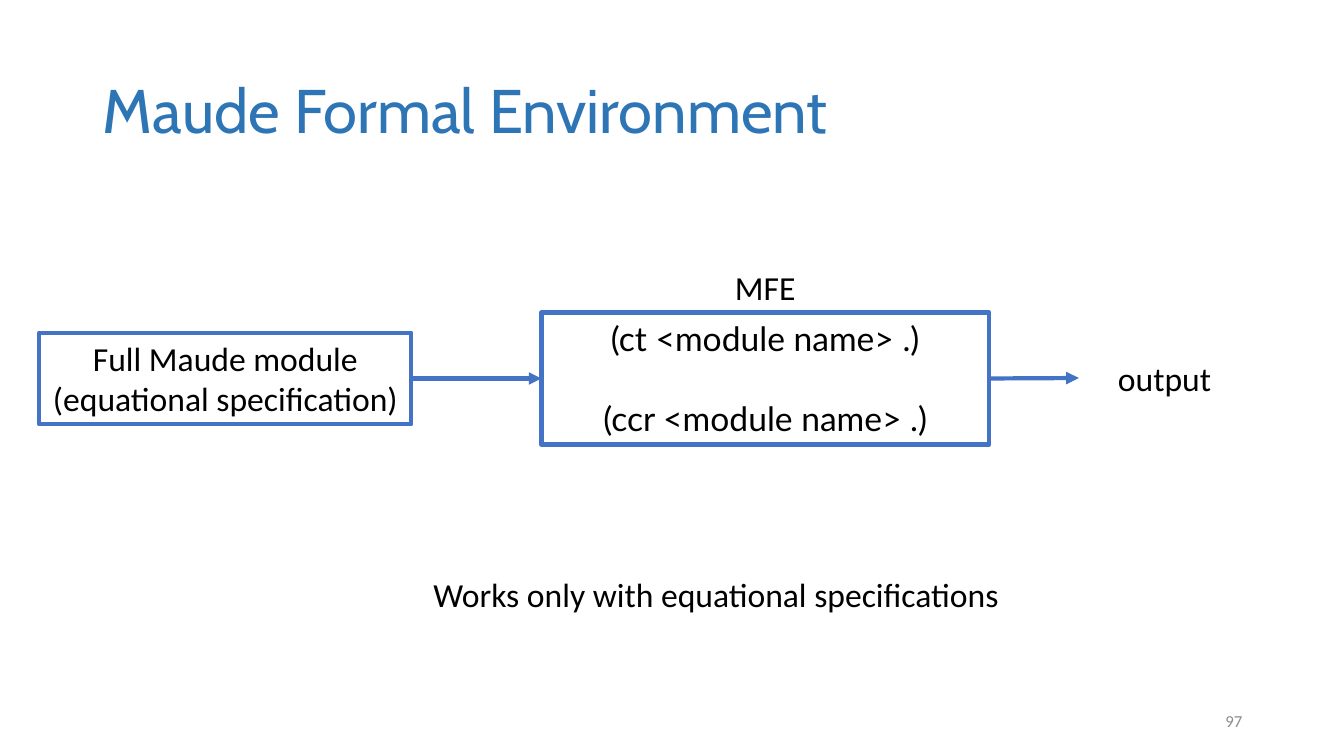
from lxml.etree import SubElement
from pptx import Presentation
from pptx.dml.color import RGBColor
from pptx.enum.shapes import MSO_CONNECTOR, MSO_SHAPE
from pptx.enum.text import MSO_ANCHOR, PP_ALIGN
from pptx.oxml.ns import qn
from pptx.util import Inches, Pt

TITLE_BLUE = RGBColor(0x2E, 0x75, 0xB6)
LINE_BLUE = RGBColor(0x44, 0x72, 0xC4)
BLACK = RGBColor(0, 0, 0)
GRAY = RGBColor(0x8C, 0x8C, 0x8C)


def write_text(shape, lines, font="Calibri", size=24, color=BLACK,
               align=PP_ALIGN.CENTER, anchor=MSO_ANCHOR.TOP, gap=0):
    frame = shape.text_frame
    frame.word_wrap = True
    frame.vertical_anchor = anchor
    frame.text = "\n".join(lines)
    for index, para in enumerate(frame.paragraphs):
        para.alignment = align
        para.space_before = Pt(gap if index else 0)
        para.font.name = font
        para.font.size = Pt(size)
        para.font.color.rgb = color


def add_box(left, top, width, height):
    box = page.shapes.add_shape(
        MSO_SHAPE.RECTANGLE, Inches(left), Inches(top), Inches(width), Inches(height))
    box.shadow.inherit = False
    box.fill.background()
    box.line.color.rgb = LINE_BLUE
    box.line.width = Pt(3)
    return box


deck = Presentation()
deck.slide_width = Inches(13.33)
deck.slide_height = Inches(7.5)
page = deck.slides.add_slide(deck.slide_layouts[5])

title = page.shapes.title
title.left, title.top = Inches(0.92), Inches(0.4)
title.width, title.height = Inches(11.5), Inches(1.45)
write_text(title, ["Maude Formal Environment"], "Cabin", 44, TITLE_BLUE,
           PP_ALIGN.LEFT, MSO_ANCHOR.MIDDLE)
title.text_frame.paragraphs[0].line_spacing = 0.9

tool_box = add_box(5.37, 3.1, 4.44, 1.31)
write_text(tool_box, ["(ct <module name> .)", "(ccr <module name> .)"], "Lato", gap=28.8)
module_box = add_box(0.39, 3.3, 3.69, 0.91)
write_text(module_box, ["Full Maude module", "(equational specification)"])

labels = [
    ("MFE", 6.3, 2.6, 2.58, PP_ALIGN.CENTER),
    ("output", 10.26, 3.5, 2.58, PP_ALIGN.CENTER),
    ("Works only with equational specifications", 4.2, 5.64, 6.05, PP_ALIGN.LEFT),
]
for text, left, top, width, align in labels:
    label = page.shapes.add_textbox(Inches(left), Inches(top), Inches(width), Inches(0.5))
    write_text(label, [text], align=align)

number = page.shapes.add_textbox(Inches(9.42), Inches(6.95), Inches(3), Inches(0.4))
write_text(number, ["97"], size=12, color=GRAY, align=PP_ALIGN.RIGHT, anchor=MSO_ANCHOR.MIDDLE)

input_arrow = page.shapes.add_connector(
    MSO_CONNECTOR.STRAIGHT, Inches(4.08), Inches(3.75), Inches(5.37), Inches(3.76))
input_arrow.begin_connect(module_box, 3)
input_arrow.end_connect(tool_box, 1)
output_arrow = page.shapes.add_connector(
    MSO_CONNECTOR.STRAIGHT, Inches(9.81), Inches(3.76), Inches(10.7), Inches(3.75))
output_arrow.begin_connect(tool_box, 3)
for arrow in (input_arrow, output_arrow):
    arrow.line.color.rgb = LINE_BLUE
    arrow.line.width = Pt(3)
    SubElement(arrow.line._get_or_add_ln(), qn("a:tailEnd"), type="triangle")
    SubElement(arrow._element.spPr, qn("a:effectLst"))

deck.save("out.pptx")
